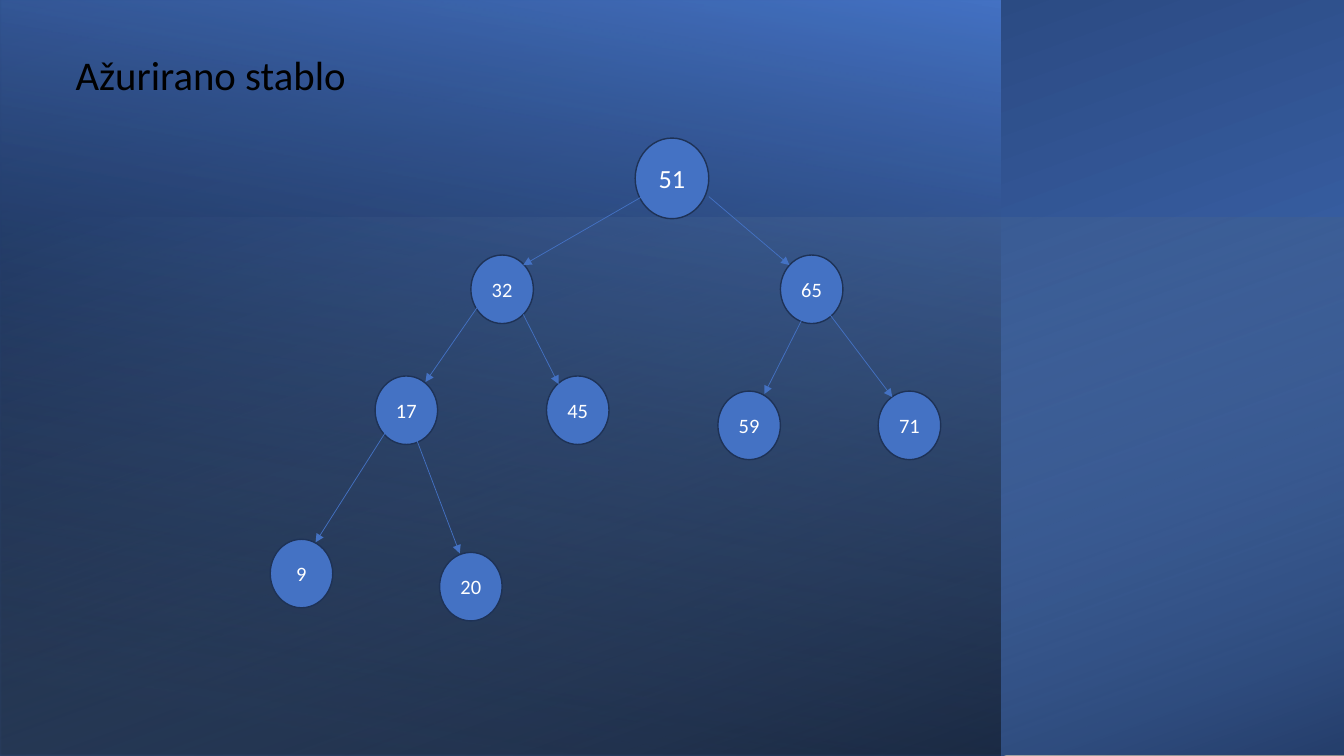
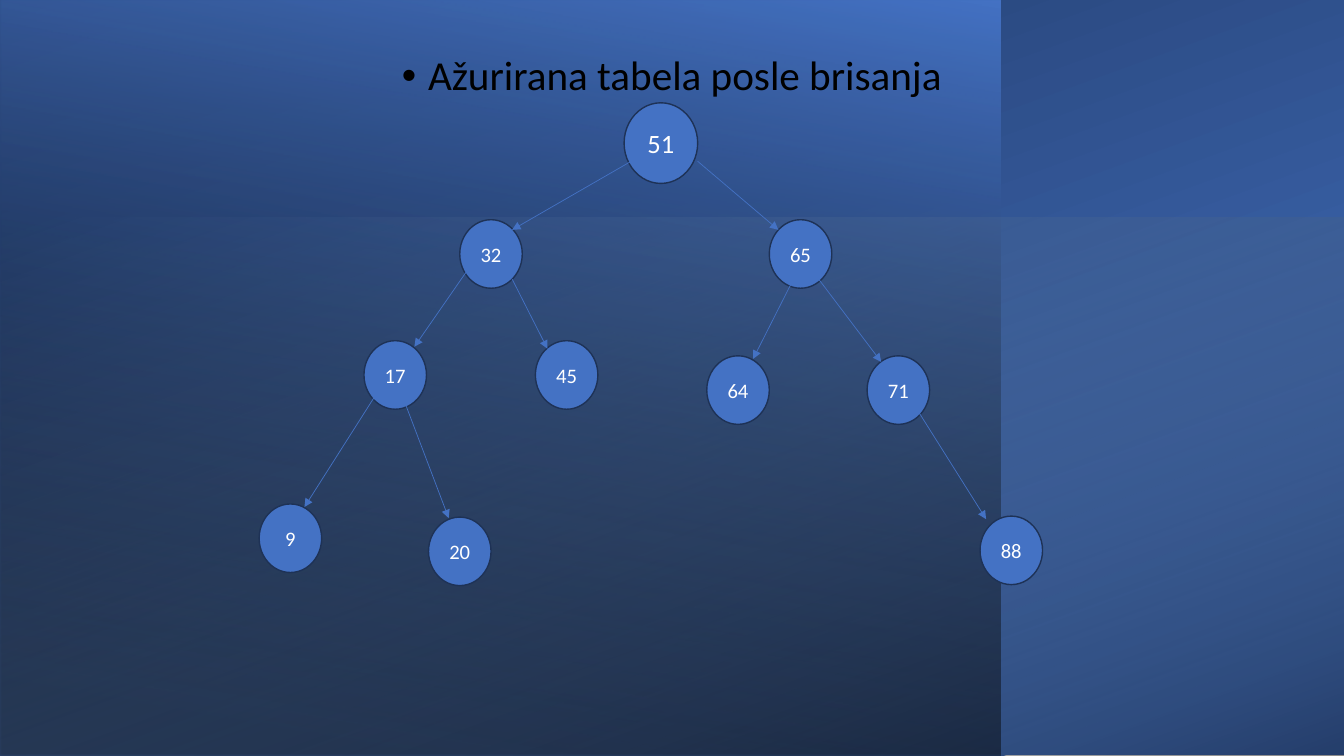
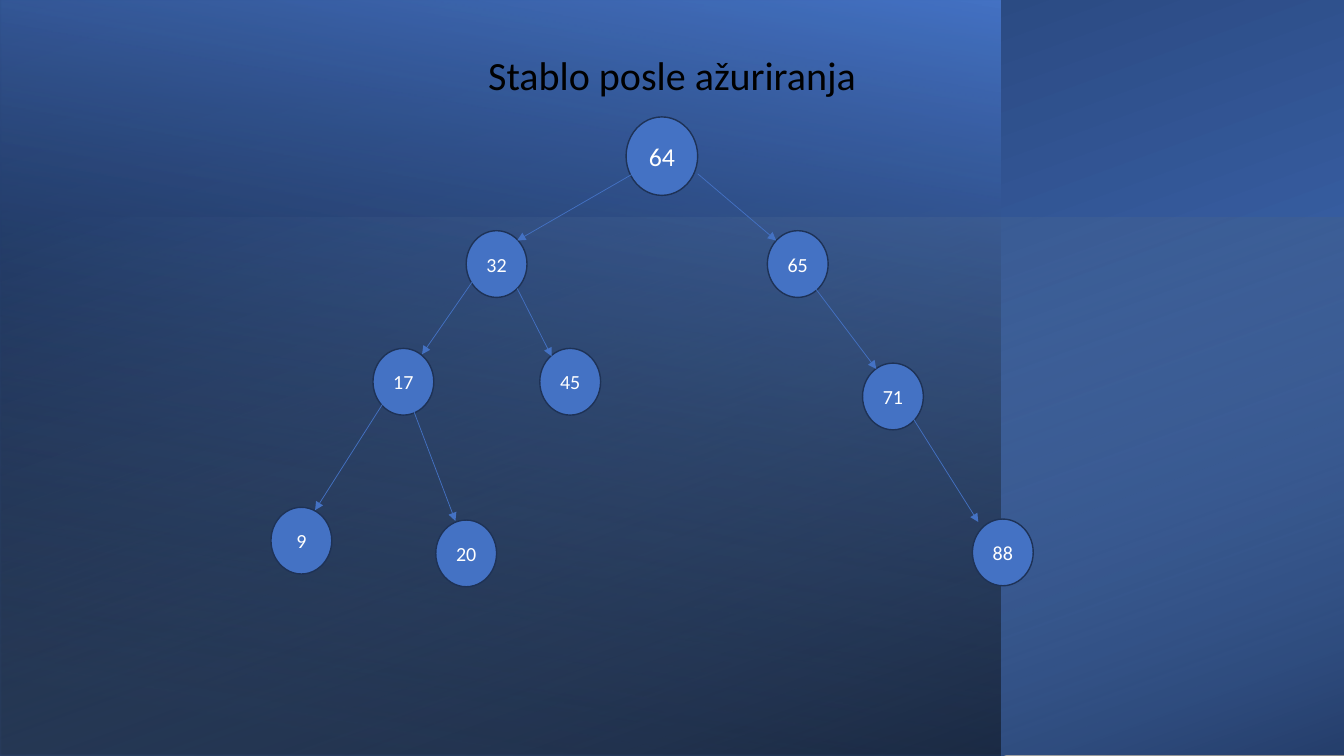
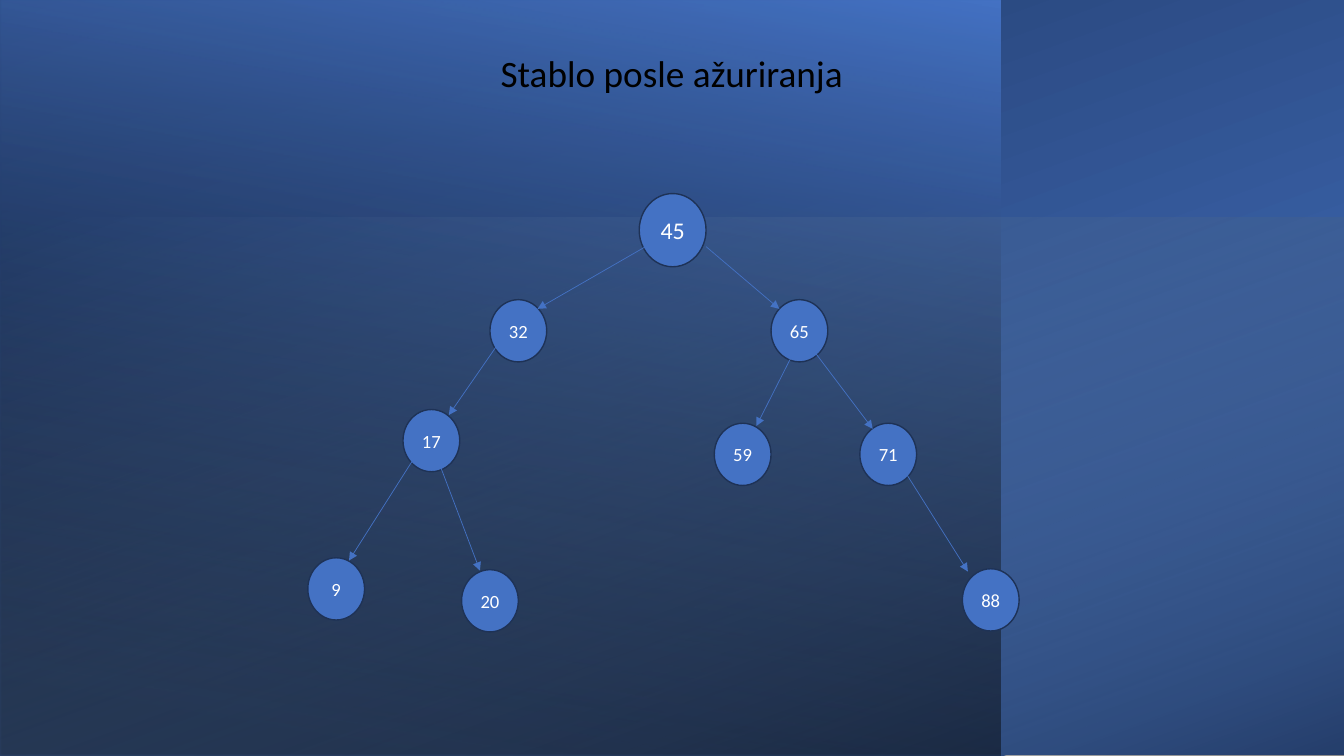
from dataclasses import dataclass

from lxml import etree
from pptx import Presentation
from pptx.dml.color import RGBColor
from pptx.enum import shapes, text
from pptx.oxml import ns, parse_xml
from pptx.util import Inches, Pt


@dataclass(frozen=True)
class Theme:
    font: str = "Calibri"
    title: str = "000000"
    node: str = "4472C4"
    outline: str = "1E3256"
    label: str = "FFFFFF"
    navy: str = "203864"
    sky: str = "9DC3E6"
    shade: str = "000000"
    outline_width: float = 1
    arrow_width: float = 0.5


THEME = Theme()
WIDTH, HEIGHT = 13.33, 7.5
LEFT, CENTER = text.PP_ALIGN.LEFT, text.PP_ALIGN.CENTER

# position, colour, opacity
BANDS = [
    {"box": (2.92, -2.92, 7.5, 13.33), "rotation": 270, "angle": 200,
     "stops": [(8, THEME.node, 100), (100, THEME.navy, 100)]},
    {"box": (0, 0, 9.92, 7.5), "rotation": 180, "angle": 80,
     "stops": [(8, THEME.shade, 52), (100, THEME.node, 100)]},
    {"box": (3.99, -1.84, 5.35, 13.34), "rotation": 270, "angle": 20,
     "stops": [(0, THEME.sky, 0), (100, THEME.shade, 46)]},
]

ROOT_SIZE, CHILD_SIZE = (0.73, 0.8), (0.62, 0.68)
NODE_OFFSETS = {
    "root": (0, 0), "L": (-1.63, 1.16), "R": (1.44, 1.16),
    "RR": (2.41, 2.51), "RL": (0.82, 2.51), "LLR": (-1.94, 4.11),
    "LLL": (-3.62, 3.98), "LR": (-0.88, 2.36), "LL": (-2.58, 2.36),
    "RRR": (3.53, 4.1),
}
ARROW_OFFSETS = {
    "R": (0.73, 0.58, 1.53, 1.26), "RR": (1.87, 1.67, 2.55, 2.57),
    "RRR": (2.91, 3.05, 3.59, 4.13), "RL": (1.72, 1.67, 1.28, 2.54),
    "L": (0.07, 0.58, -1.11, 1.26), "LR": (-1.11, 1.75, -0.76, 2.44),
    "LL": (-1.47, 1.54, -2.08, 2.42), "LLL": (-2.42, 2.83, -3.17, 4.01),
    "LLR": (-2.21, 2.88, -1.74, 4.12),
}

COMMON_NODES = {"L": 32, "R": 65, "RR": 71, "LLR": 20, "LLL": 9, "LL": 17}
SLIDES = [
    {"title": "Ažurirano stablo", "align": LEFT, "bullet": False,
     "title_width": 12.03, "sizes": (29.1, 18.7, 14.6), "before": 10.4,
     "origin": (6.3, 1.37), "scale": 1,
     "nodes": {"root": 51, "RL": 59, "LR": 45}},
    {"title": "Ažurirana tabela posle brisanja", "align": CENTER, "bullet": True,
     "title_width": 12.11, "sizes": (29.4, 18.9, 14.7), "before": 10.5,
     "origin": (6.19, 1.02), "scale": 1,
     "nodes": {"root": 51, "RL": 64, "LR": 45, "RRR": 88}},
    {"title": "Stablo posle ažuriranja", "align": CENTER, "bullet": False,
     "title_width": 11.81, "sizes": (28.6, 18.4, 14.3), "before": 10.2,
     "origin": (6.21, 1.16), "scale": 0.973,
     "nodes": {"root": 64, "LR": 45, "RRR": 88}},
    {"title": "Stablo posle ažuriranja", "align": CENTER, "bullet": False,
     "title_width": 11.01, "sizes": (26.6, 17.1, 13.3), "before": 9.5,
     "origin": (6.34, 1.92), "scale": 0.908,
     "nodes": {"root": 45, "RL": 59, "RRR": 88}},
]


def apply(target, values):
    for name, value in values.items():
        setattr(target, name, value)


def write(shape, words, size, color, anchor, wrap, paragraph_format):
    frame = shape.text_frame
    frame.text = words
    apply(frame, {"vertical_anchor": anchor, "word_wrap": wrap,
                  "auto_size": text.MSO_AUTO_SIZE.NONE})
    paragraph = frame.paragraphs[0]
    apply(paragraph, paragraph_format)
    font = paragraph.runs[0].font
    apply(font, {"name": THEME.font, "size": Pt(size), "bold": False})
    font.color.rgb = RGBColor.from_string(color)
    return paragraph


def add_band(slide, band):
    shape = slide.shapes.add_shape(shapes.MSO_SHAPE.RECTANGLE, *map(Inches, band["box"]))
    shape.rotation = band["rotation"]
    shape.shadow.inherit = False
    shape.line.fill.background()
    properties = shape._element.spPr
    properties.find(ns.qn("a:xfrm")).set("flipH", "1")
    stops = "".join(
        f'<a:gs pos="{position * 1000}"><a:srgbClr val="{color}">'
        f'<a:alpha val="{opacity * 1000}"/></a:srgbClr></a:gs>'
        for position, color, opacity in band["stops"])
    gradient = parse_xml(
        f'<a:gradFill {ns.nsdecls("a")} rotWithShape="1"><a:gsLst>{stops}</a:gsLst>'
        f'<a:lin ang="{band["angle"] * 60000}" scaled="0"/></a:gradFill>')
    properties.find(ns.qn("a:prstGeom")).addnext(gradient)


def add_title(slide, content):
    title = slide.shapes.title
    slide.shapes._spTree.append(title._element)
    width = content["title_width"]
    apply(title, {"left": Inches((WIDTH - width) / 2), "top": Inches(0.5),
                  "width": Inches(width), "height": Inches(6.5)})
    paragraph = write(title, content["title"], content["sizes"][0], THEME.title,
                      text.MSO_ANCHOR.TOP, True,
                      {"alignment": content["align"], "line_spacing": 0.9,
                       "space_before": Pt(content["before"])})
    if content["bullet"]:
        properties = paragraph._p.get_or_add_pPr()
        indent = Inches(0.26)
        properties.set("marL", str(indent))
        properties.set("indent", str(-indent))
        etree.SubElement(properties, ns.qn("a:buFont")).set("typeface", "Arial")
        etree.SubElement(properties, ns.qn("a:buChar")).set("char", "•")


def add_node(slide, box, value, size):
    node = slide.shapes.add_shape(shapes.MSO_SHAPE.FLOWCHART_CONNECTOR, *box)
    node.shadow.inherit = False
    node.fill.solid()
    node.fill.fore_color.rgb = RGBColor.from_string(THEME.node)
    node.line.color.rgb = RGBColor.from_string(THEME.outline)
    node.line.width = Pt(THEME.outline_width)
    write(node, str(value), size, THEME.label, text.MSO_ANCHOR.MIDDLE, False,
          {"alignment": CENTER, "space_after": Pt(6)})


def add_arrow(slide, ends):
    arrow = slide.shapes.add_connector(shapes.MSO_CONNECTOR.STRAIGHT, *ends)
    arrow.line.color.rgb = RGBColor.from_string(THEME.node)
    arrow.line.width = Pt(THEME.arrow_width)
    etree.SubElement(arrow.line._get_or_add_ln(), ns.qn("a:tailEnd")).set("type", "triangle")
    etree.SubElement(arrow._element.spPr, ns.qn("a:effectLst"))


def add_tree(slide, content):
    scale, (left, top) = content["scale"], content["origin"]
    _, root_size, child_size = content["sizes"]
    values = COMMON_NODES | content["nodes"]

    def place(x, y):
        return Inches(left + x * scale), Inches(top + y * scale)

    for branch, offset in NODE_OFFSETS.items():
        if branch in values:
            is_root = branch == "root"
            extent = [Inches(side * scale) for side in (ROOT_SIZE if is_root else CHILD_SIZE)]
            add_node(slide, (*place(*offset), *extent), values[branch],
                     root_size if is_root else child_size)
    for branch, (x1, y1, x2, y2) in ARROW_OFFSETS.items():
        if branch in values:
            add_arrow(slide, (*place(x1, y1), *place(x2, y2)))


def main():
    presentation = Presentation()
    apply(presentation, {"slide_width": Inches(WIDTH), "slide_height": Inches(HEIGHT)})
    for content in SLIDES:
        slide = presentation.slides.add_slide(presentation.slide_layouts[5])
        for band in BANDS:
            add_band(slide, band)
        add_title(slide, content)
        add_tree(slide, content)
    presentation.save("out.pptx")


if __name__ == "__main__":
    main()
